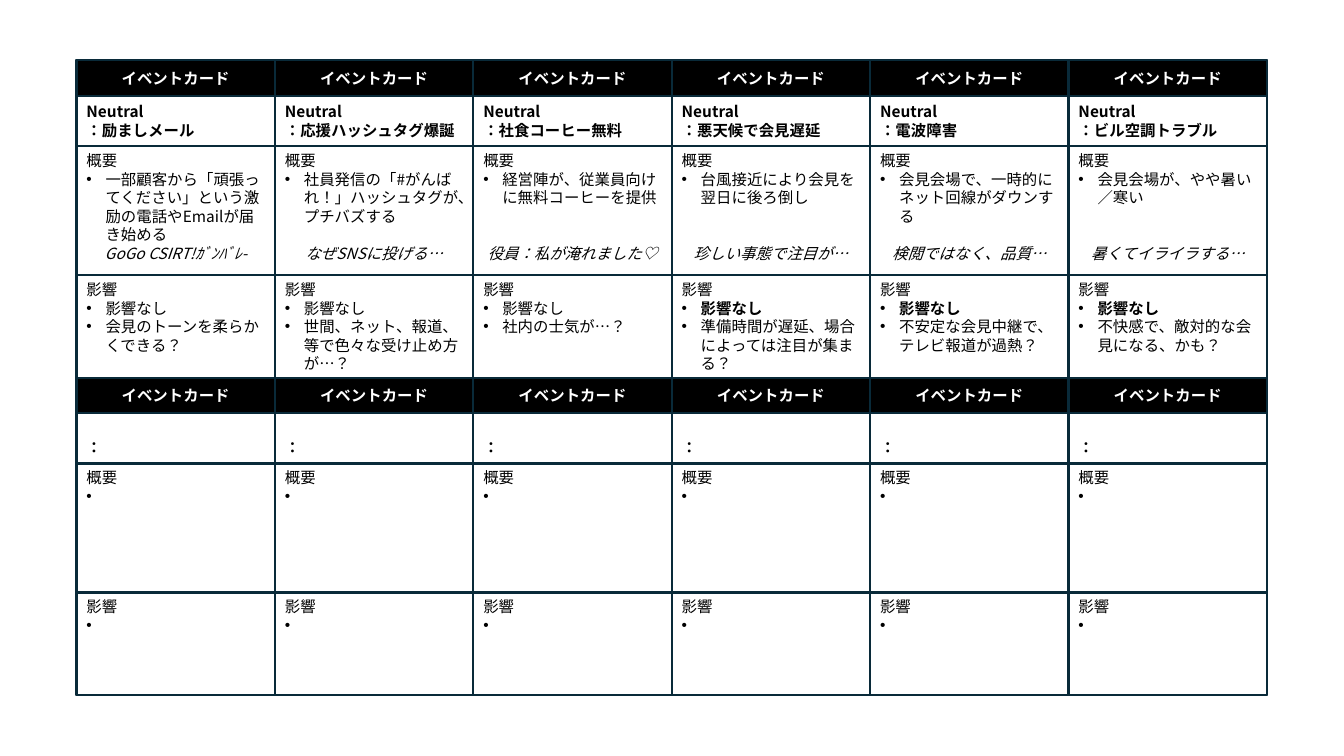
from collections import namedtuple

from lxml.etree import SubElement
from pptx import Presentation
from pptx.dml.color import RGBColor
from pptx.enum.lang import MSO_LANGUAGE_ID
from pptx.enum.shapes import MSO_SHAPE
from pptx.enum.text import MSO_ANCHOR, PP_ALIGN
from pptx.oxml.ns import qn
from pptx.util import Cm, Pt

BLACK = RGBColor(0x00, 0x00, 0x00)
WHITE = RGBColor(0xFF, 0xFF, 0xFF)
NAVY = RGBColor(0x09, 0x2A, 0x39)
FONT = "Noto Sans CJK JP"
LINE_PT = 13.3

LEFT, TOP = 1.93, 1.52
CARD_W, CARD_H = 5.0, 8.0
HEADER_H, TITLE_H, SUMMARY_H, IMPACT_H = 0.89, 1.27, 3.25, 2.59
BULLET_INDENT = 0.48

Card = namedtuple("Card", "title summary gap_lines remark impact bold_impact")

CARDS = [
    Card("励ましメール",
         "一部顧客から「頑張ってください」という激励の電話やEmailが届き始める",
         0, "GoGo CSIRT!ｶﾞﾝﾊﾞﾚ-", "会見のトーンを柔らかくできる？", False),
    Card("応援ハッシュタグ爆誕",
         "社員発信の「#がんばれ！」ハッシュタグが、プチバズする",
         1, "なぜSNSに投げる…", "世間、ネット、報道、等で色々な受け止め方が…？", False),
    Card("社食コーヒー無料",
         "経営陣が、従業員向けに無料コーヒーを提供",
         2, "役員：私が淹れました♡", "社内の士気が…？", False),
    Card("悪天候で会見遅延",
         "台風接近により会見を翌日に後ろ倒し",
         2, "珍しい事態で注目が…", "準備時間が遅延、場合によっては注目が集まる？", True),
    Card("電波障害",
         "会見会場で、一時的にネット回線がダウンする",
         1, "検閲ではなく、品質…", "不安定な会見中継で、テレビ報道が過熱？", True),
    Card("ビル空調トラブル",
         "会見会場が、やや暑い／寒い",
         2, "暑くてイライラする…", "不快感で、敵対的な会見になる、かも？", True),
]


def add_box(s, x, y, h, anchor=MSO_ANCHOR.TOP, fill=None):
    sp = s.shapes.add_shape(MSO_SHAPE.RECTANGLE, Cm(x), Cm(y), Cm(CARD_W), Cm(h))
    sp.shadow.inherit = False
    sp.line.color.rgb = NAVY
    sp.line.width = Pt(1.5)
    if fill is None:
        sp.fill.background()
    else:
        sp.fill.solid()
        sp.fill.fore_color.rgb = fill
    tf = sp.text_frame
    tf.word_wrap = True
    tf.vertical_anchor = anchor
    return tf


def write(tf, text, bold=False, italic=False, color=BLACK,
          align=PP_ALIGN.LEFT, bullet=False, gap_lines=0):
    p = tf.paragraphs[0] if not tf.text else tf.add_paragraph()
    p.text = text
    p.alignment = align
    p.line_spacing = Pt(LINE_PT)
    if gap_lines:
        p.space_before = Pt(round(gap_lines * LINE_PT, 1))
    if bullet:
        pPr = p._p.get_or_add_pPr()
        pPr.set("marL", str(Cm(BULLET_INDENT)))
        pPr.set("indent", str(-Cm(BULLET_INDENT)))
        SubElement(pPr, qn("a:buFont")).set("typeface", "Arial")
        SubElement(pPr, qn("a:buChar")).set("char", "•")
    for r in p.runs:
        r.font.size = Pt(11)
        r.font.bold = bold
        r.font.italic = italic
        r.font.color.rgb = color
        r.font.language_id = MSO_LANGUAGE_ID.JAPANESE
        r.font.name = FONT
        SubElement(r.font._element, qn("a:ea")).set("typeface", FONT)


def add_title(s, x, y, card):
    if card:
        tf = add_box(s, x, y, TITLE_H, MSO_ANCHOR.MIDDLE)
        write(tf, "Neutral", bold=True)
        write(tf, "：" + card.title, bold=True)
    else:
        tf = add_box(s, x, y, TITLE_H, MSO_ANCHOR.BOTTOM)
        tf.margin_bottom = Cm(0.17)
        write(tf, "：", bold=True)


def add_summary(s, x, y, card):
    tf = add_box(s, x, y, SUMMARY_H)
    write(tf, "概要")
    write(tf, card.summary if card else " ", bullet=True)
    if card:
        write(tf, card.remark, italic=True, align=PP_ALIGN.CENTER,
              gap_lines=card.gap_lines)


def add_impact(s, x, y, card):
    tf = add_box(s, x, y, IMPACT_H)
    write(tf, "影響")
    if card:
        write(tf, "影響なし", bold=card.bold_impact, bullet=True)
    write(tf, card.impact if card else " ", bullet=True)


def add_card(s, x, y, card=None):
    add_box(s, x, y, CARD_H)
    tf = add_box(s, x, y, HEADER_H, MSO_ANCHOR.MIDDLE, BLACK)
    write(tf, "イベントカード", bold=True, color=WHITE, align=PP_ALIGN.CENTER)
    y += HEADER_H
    add_title(s, x, y, card)
    y += TITLE_H
    add_summary(s, x, y, card)
    y += SUMMARY_H
    add_impact(s, x, y, card)


def main():
    prs = Presentation()
    prs.slide_width = Cm(33.87)
    prs.slide_height = Cm(19.05)
    s = prs.slides.add_slide(prs.slide_layouts[6])
    for i, card in enumerate(CARDS):
        x = LEFT + i * CARD_W
        add_card(s, x, TOP, card)
        add_card(s, x, TOP + CARD_H)
    prs.save("out.pptx")


if __name__ == "__main__":
    main()
